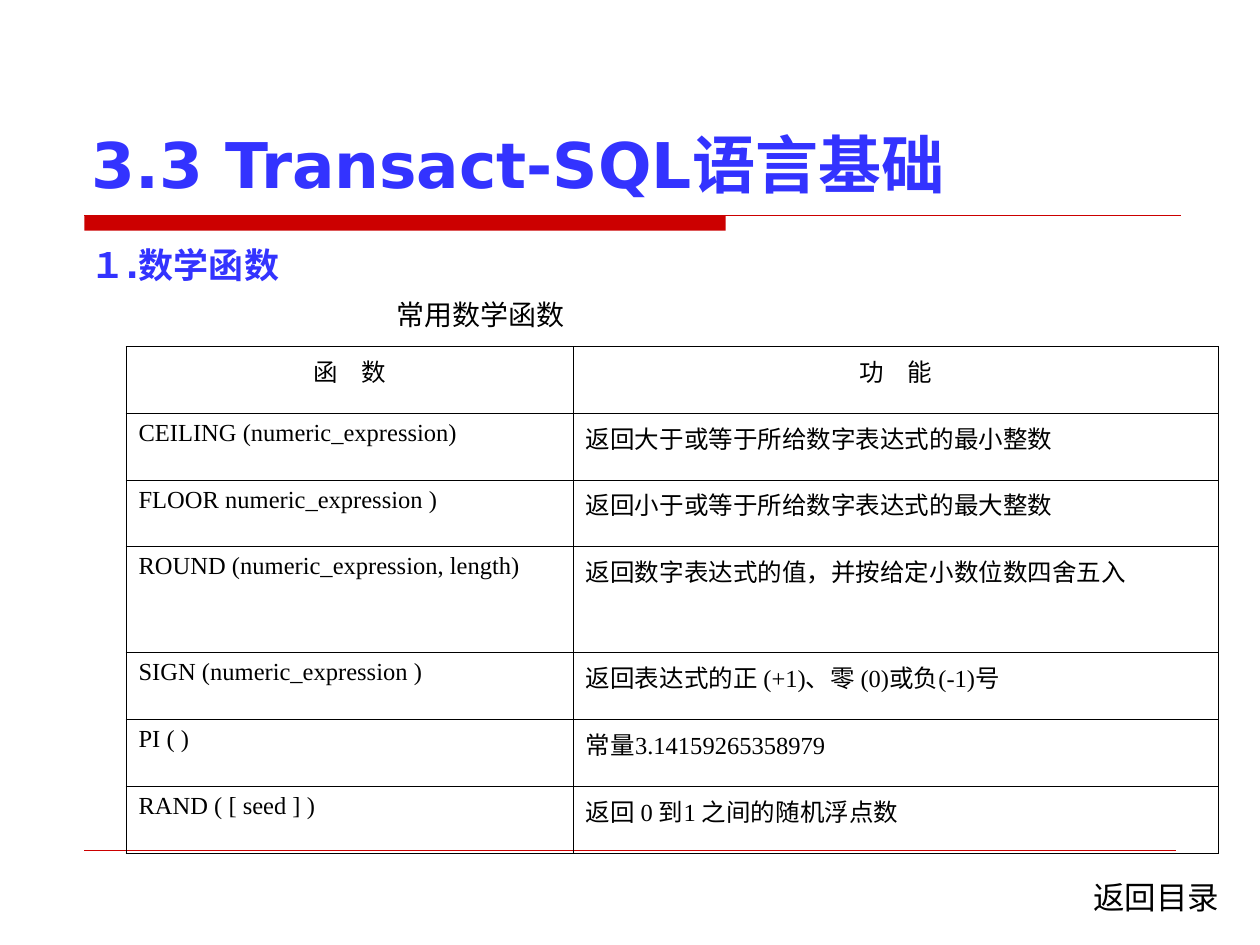
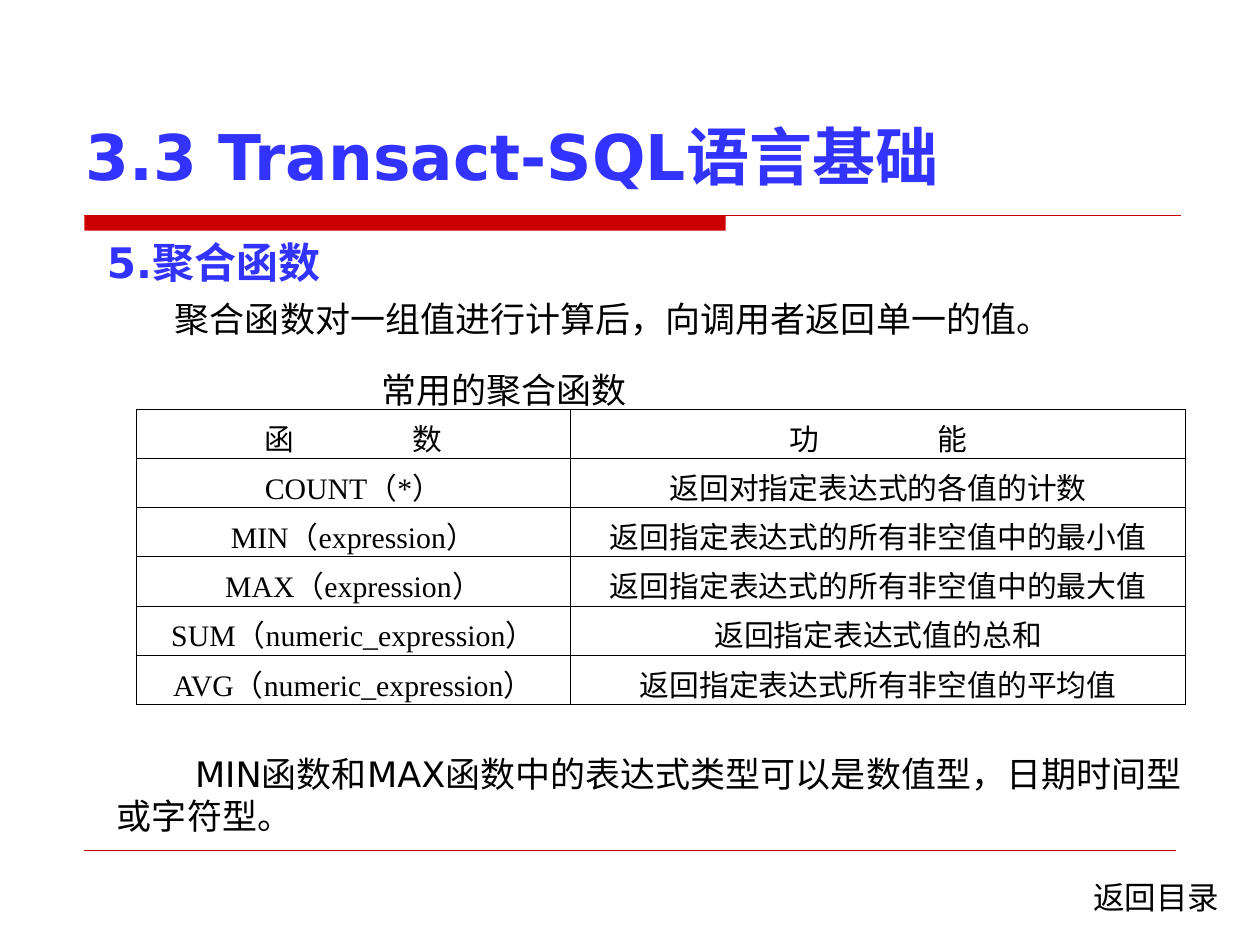
from pptx import Presentation
from pptx.dml.color import RGBColor
from pptx.enum.shapes import MSO_CONNECTOR, MSO_SHAPE
from pptx.enum.text import MSO_ANCHOR, PP_ALIGN
from pptx.oxml.ns import qn
from pptx.util import Inches, Pt
from lxml.etree import SubElement

BLUE = RGBColor(0x33, 0x33, 0xFF)
RED = RGBColor(0xCC, 0x00, 0x00)
BLACK = RGBColor(0x00, 0x00, 0x00)
TEXT_FONT = "DejaVu Sans"
TABLE_FONT = "Times New Roman"

TITLE = "3.3 Transact-SQL语言基础"
CONTENTS_LINK = "返回目录"

# Text lines: (text, size, colour, bold, indent, space before, line spacing)
# Boxes: (left, top, width, height), anchor, lines
SLIDES = [
    {
        "boxes": [
            ((0.63, 0.92, 8.75, 0.75), MSO_ANCHOR.MIDDLE,
             [(TITLE, 36, BLUE, True, 0, 0, 1)]),
            ((0.62, 1.92, 8.8, 0.83), MSO_ANCHOR.TOP,
             [("１.数学函数", 20, BLUE, True, 0, 5, 0.9),
              ("常用数学函数", 16, BLACK, False, 2.43, 9, 0.9)]),
        ],
        "table_at": (1, 2.75),
        "columns": (3.55, 5.12),
        "row_heights": (0.53, 0.53, 0.53, 0.84, 0.53, 0.53, 0.53),
        "size": 14,
        "body_align": PP_ALIGN.LEFT,
        "header_spacing": 5,
        "rows": [
            ("函 数", "功 能"),
            ("CEILING (numeric_expression)", "返回大于或等于所给数字表达式的最小整数"),
            ("FLOOR numeric_expression )", "返回小于或等于所给数字表达式的最大整数"),
            ("ROUND (numeric_expression, length)",
             "返回数字表达式的值，并按给定小数位数四舍五入"),
            ("SIGN (numeric_expression )", "返回表达式的正 (+1)、零 (0)或负(-1)号"),
            ("PI ( )", "常量3.14159265358979"),
            ("RAND ( [ seed ] )", "返回 0 到1 之间的随机浮点数"),
        ],
    },
    {
        "boxes": [
            ((0.58, 0.83, 8.75, 0.8), MSO_ANCHOR.MIDDLE,
             [(TITLE, 36, BLUE, True, 0, 0, 1)]),
            ((0.75, 1.83, 9, 1.58), MSO_ANCHOR.TOP,
             [("5.聚合函数", 24, BLUE, True, 0, 6, 1),
              ("聚合函数对一组值进行计算后，向调用者返回单一的值。",
               20, BLACK, False, 0.54, 6, 1),
              ("常用的聚合函数", 20, BLACK, False, 2.18, 16.5, 1)]),
            ((0.83, 5.92, 8.67, 0.77), MSO_ANCHOR.MIDDLE,
             [("MIN函数和MAX函数中的表达式类型可以是数值型，日期时间型或字符型。",
               20, BLACK, False, 0.62, 0, 1)]),
        ],
        "table_at": (1.08, 3.25),
        "columns": (3.45, 4.88),
        "row_heights": (0.39,) * 6,
        "size": 17,
        "body_align": PP_ALIGN.CENTER,
        "header_spacing": 32,
        "rows": [
            ("函 数", "功 能"),
            ("COUNT（*）", "返回对指定表达式的各值的计数"),
            ("MIN（expression）", "返回指定表达式的所有非空值中的最小值"),
            ("MAX（expression）", "返回指定表达式的所有非空值中的最大值"),
            ("SUM（numeric_expression）", "返回指定表达式值的总和"),
            ("AVG（numeric_expression）", "返回指定表达式所有非空值的平均值"),
        ],
    },
]
FOOTER = ((8.58, 6.92, 1.25, 0.4), MSO_ANCHOR.TOP,
          [(CONTENTS_LINK, 18, BLACK, False, 0, 0, 1)])


def add_rule(slide, top, left, right, weight):
    rule = slide.shapes.add_connector(
        MSO_CONNECTOR.STRAIGHT, Inches(left), Inches(top), Inches(right), Inches(top))
    rule.line.color.rgb = RED
    rule.line.width = Pt(weight)
    SubElement(rule._element.spPr, qn("a:effectLst"))


def add_text(slide, place, anchor, lines):
    frame = slide.shapes.add_textbox(*map(Inches, place)).text_frame
    frame.word_wrap = True
    frame.vertical_anchor = anchor
    for index, (text, size, color, bold, indent, before, spacing) in enumerate(lines):
        paragraph = frame.add_paragraph() if index else frame.paragraphs[0]
        paragraph.text = text
        paragraph.space_before = Pt(before)
        paragraph.line_spacing = spacing
        paragraph._p.get_or_add_pPr().set("indent", str(Inches(indent)))
        font = paragraph.font
        font.name, font.size, font.bold = TEXT_FONT, Pt(size), bold
        font.color.rgb = color
        SubElement(font._element, qn("a:ea"), typeface=TEXT_FONT)


presentation = Presentation()
presentation.slide_width = Inches(10)
presentation.slide_height = Inches(7.5)

for content in SLIDES:
    slide = presentation.slides.add_slide(presentation.slide_layouts[6])

    # Red band under the title and thin rule above the footer
    band = slide.shapes.add_shape(
        MSO_SHAPE.RECTANGLE, Inches(0.67), Inches(1.71), Inches(5.09), Inches(0.12))
    band.shadow.inherit = False
    band.fill.solid()
    band.fill.fore_color.rgb = RED
    band.line.fill.background()
    add_rule(slide, 1.71, 0.67, 9.37, 0.75)
    add_rule(slide, 6.75, 0.67, 9.33, 0.25)

    # Title, body text and footer
    for place, anchor, lines in content["boxes"] + [FOOTER]:
        add_text(slide, place, anchor, lines)

    # Function table
    rows, columns, heights = content["rows"], content["columns"], content["row_heights"]
    table = slide.shapes.add_table(
        len(rows), len(columns), *map(Inches, content["table_at"]),
        Inches(sum(columns)), Inches(sum(heights))).table
    table.first_row = table.horz_banding = False
    for column, width in zip(table.columns, columns):
        column.width = Inches(width)
    for row_index, (row, height) in enumerate(zip(rows, heights)):
        table.rows[row_index].height = Inches(height)
        for column_index, text in enumerate(row):
            cell = table.cell(row_index, column_index)
            paragraph = cell.text_frame.paragraphs[0]
            if row_index == 0:
                # Spread the two header characters apart
                first = paragraph.add_run()
                first.text = text[:-1]
                first.font._element.set("spc", str(content["header_spacing"] * 100))
                paragraph.add_run().text = text[-1]
                paragraph.alignment = PP_ALIGN.CENTER
            else:
                paragraph.text = text
                paragraph.alignment = content["body_align"]
            paragraph.font.name = TABLE_FONT
            paragraph.font.size = Pt(content["size"])
            paragraph.font.color.rgb = BLACK

            # Thin black borders on an unfilled cell
            properties = cell._tc.get_or_add_tcPr()
            for side in ("a:lnL", "a:lnR", "a:lnT", "a:lnB"):
                border = SubElement(properties, qn(side), w=str(Pt(0.45)))
                fill = SubElement(border, qn("a:solidFill"))
                SubElement(fill, qn("a:srgbClr"), val=str(BLACK))
            cell.fill.background()

presentation.save("out.pptx")
